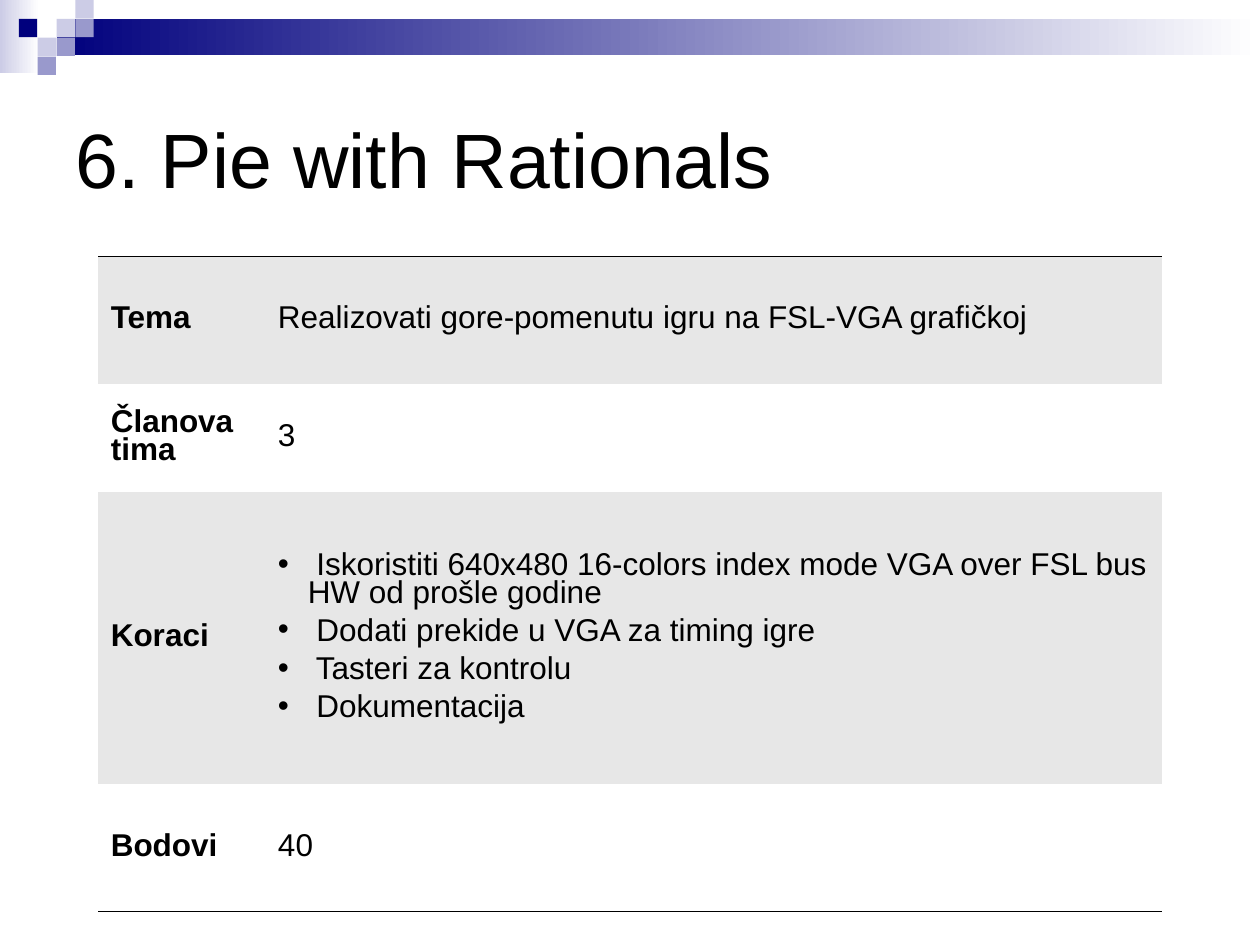
from lxml import etree
from pptx import Presentation
from pptx.dml.color import RGBColor
from pptx.enum.shapes import MSO_SHAPE
from pptx.enum.text import MSO_ANCHOR
from pptx.oxml.ns import qn
from pptx.util import Cm, Pt

NAVY = RGBColor(0x00, 0x00, 0x7D)
PERIWINKLE = RGBColor(0x99, 0x99, 0xCC)
LAVENDER = RGBColor(0xCC, 0xCC, 0xE6)
GREY = RGBColor(0xE7, 0xE7, 0xE7)
WHITE = RGBColor(0xFF, 0xFF, 0xFF)
BLACK = RGBColor(0x00, 0x00, 0x00)

PITCH = 0.38
SQUARE = 0.37
SQUARES = [(3, 1, LAVENDER), (4, 0, LAVENDER), (4, 1, PERIWINKLE), (2, 2, LAVENDER),
           (1, 1, NAVY), (3, 2, PERIWINKLE), (2, 3, PERIWINKLE)]

BULLET_INDENT = Cm(0.6)
COLUMN_WIDTHS = [3.37, 18.08]
ROW_HEIGHTS = [2.58, 2.18, 5.89, 2.56]
STEPS = [
    " Iskoristiti 640x480 16-colors index mode VGA over FSL bus HW od prošle godine",
    " Dodati prekide u VGA za timing igre",
    " Tasteri za kontrolu",
    " Dokumentacija",
]
ROWS = [
    ("Tema", ["Realizovati gore-pomenutu igru na FSL-VGA grafičkoj"]),
    ("Članova tima", ["3"]),
    ("Koraci", STEPS),
    ("Bodovi", ["40"]),
]


def add_block(page, left, top, width, height, *colours):
    """Add a borderless rectangle: one colour is solid, two fade left to right."""
    block = page.shapes.add_shape(MSO_SHAPE.RECTANGLE, Cm(left), Cm(top), Cm(width), Cm(height))
    block.shadow.inherit = False
    block.line.fill.background()
    if len(colours) == 1:
        block.fill.solid()
        block.fill.fore_color.rgb = colours[0]
        return
    block.fill.gradient()
    block.fill.gradient_angle = 0
    for stop, colour, position in zip(block.fill.gradient_stops, colours, (0, 1)):
        stop.color.rgb = colour
        stop.position = position


def add_header(page, left, top, width):
    add_block(page, left, top, 0.79, 1.47, LAVENDER, WHITE)
    bar_offset = 3 * PITCH
    add_block(page, left + bar_offset, top + PITCH, width - bar_offset, 0.74, NAVY, WHITE)
    for column, row, colour in SQUARES:
        add_block(page, left + column * PITCH, top + row * PITCH, SQUARE, SQUARE, colour)


def write(para, text, size, bold=False):
    span = para.add_run()
    span.text = text
    span.font.color.rgb = BLACK
    for name, value in {"name": "Arial", "size": Pt(size), "bold": bold}.items():
        setattr(span.font, name, value)


def add_title(page, left, top, width, height):
    box = page.shapes.add_textbox(Cm(left), Cm(top), Cm(width), Cm(height))
    frame = box.text_frame
    frame.word_wrap = True
    frame.vertical_anchor = MSO_ANCHOR.MIDDLE
    para = frame.paragraphs[0]
    para.space_after = Pt(6)
    write(para, "6. Pie with Rationals", 44)


def add_bullet(para):
    properties = para._p.get_or_add_pPr()
    properties.set("marL", str(BULLET_INDENT))
    properties.set("indent", str(-BULLET_INDENT))
    etree.SubElement(properties, qn("a:buFont"), typeface="Arial")
    etree.SubElement(properties, qn("a:buChar"), char="•")


def set_borders(cell, ruled_side):
    """Rule one side of the cell in black and clear the other sides."""
    properties = cell._tc.get_or_add_tcPr()
    for index, side in enumerate(("lnL", "lnR", "lnT", "lnB")):
        line = etree.Element(qn(f"a:{side}"), w=str(Pt(0.06)))
        properties.insert(index, line)
        if side == ruled_side:
            fill = etree.SubElement(line, qn("a:solidFill"))
            etree.SubElement(fill, qn("a:srgbClr"), val=str(BLACK))
        else:
            etree.SubElement(line, qn("a:noFill"))


def fill_cell(cell, lines, colour, bold, ruled_side):
    cell.fill.solid()
    cell.fill.fore_color.rgb = colour
    cell.vertical_anchor = MSO_ANCHOR.MIDDLE
    set_borders(cell, ruled_side)
    frame = cell.text_frame
    for index, text in enumerate(lines):
        para = frame.add_paragraph() if index else frame.paragraphs[0]
        if len(lines) > 1:
            add_bullet(para)
            para.space_after = Pt(6)
        para.line_spacing = 0.78
        write(para, text, 18, bold)


def add_project_table(page, left, top):
    table = page.shapes.add_table(
        len(ROWS), len(COLUMN_WIDTHS), Cm(left), Cm(top),
        Cm(sum(COLUMN_WIDTHS)), Cm(sum(ROW_HEIGHTS))).table
    table.first_row = table.horz_banding = False
    for column, width in zip(table.columns, COLUMN_WIDTHS):
        column.width = Cm(width)
    ruled_sides = {0: "lnT", len(ROWS) - 1: "lnB"}
    for index, (label, lines) in enumerate(ROWS):
        table.rows[index].height = Cm(ROW_HEIGHTS[index])
        colour = WHITE if index % 2 else GREY
        side = ruled_sides.get(index)
        fill_cell(table.cell(index, 0), [label], colour, True, side)
        fill_cell(table.cell(index, 1), lines, colour, False, side)


def main():
    deck = Presentation()
    deck.slide_width, deck.slide_height = Cm(25.4), Cm(19.05)
    page = deck.slides.add_slide(deck.slide_layouts[6])
    add_header(page, 0, 0, 25.38)
    add_title(page, 1.27, 1.27, 22.86, 3.81)
    add_project_table(page, 1.98, 5.16)
    deck.save("out.pptx")


if __name__ == "__main__":
    main()
